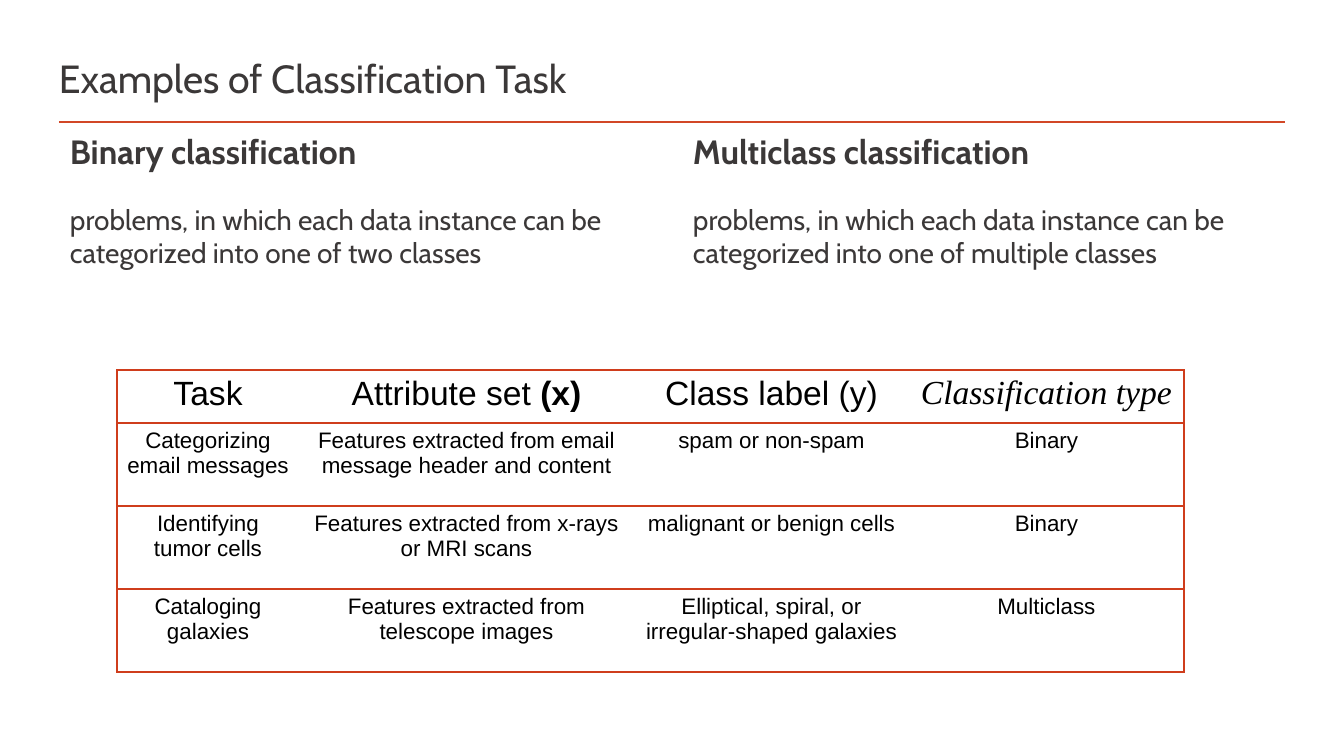
import pptx
import pptx.dml.color
import pptx.enum.shapes
import pptx.enum.text
import pptx.oxml
import pptx.oxml.ns
import pptx.util

THEME = {
    "ink": "3B3838", "rule": "D24726", "border": "CF3D1C", "black": "000000", "white": "FFFFFF",
    "body_font": "Cabin", "table_font": "Arial", "accent_font": "Times New Roman",
    "title": 28, "heading": 24, "text": 20, "head_cell": 24, "cell": 16,
}
rgb = pptx.dml.color.RGBColor.from_string


def px(n):
    """Turn pixels, 100.8 to the inch, into EMU."""
    return pptx.util.Emu(round(n * 914400 / 100.8))


def add_run(p, text, size, color="ink", **format_values):
    r = p.add_run()
    r.text = text
    values = {"name": THEME["body_font"], "bold": False, "italic": False} | format_values
    for name, value in values.items():
        setattr(r.font, name, value)
    r.font.size = pptx.util.Pt(THEME[size])
    r.font.color.rgb = rgb(THEME[color])


prs = pptx.Presentation()
prs.slide_width, prs.slide_height = px(1344), px(756)
s = prs.slides.add_slide(prs.slide_layouts[6])

# Title and rule
rule = s.shapes.add_connector(
    pptx.enum.shapes.MSO_CONNECTOR.STRAIGHT, px(59), px(122), px(1285), px(122))
rule.line.color.rgb = rgb(THEME["rule"])
rule.line.width = pptx.util.Pt(2)
rule._element.spPr.append(pptx.oxml.parse_xml(
    f'<a:effectLst {pptx.oxml.ns.nsdecls("a")}/>'))

tf = s.shapes.add_textbox(px(49), px(47), px(1236), px(62)).text_frame
tf.word_wrap = True
tf.vertical_anchor = pptx.enum.text.MSO_ANCHOR.MIDDLE
add_run(tf.paragraphs[0], "Examples of Classification Task", "title")

# Two definitions side by side
definitions = [
    ("Binary classification",
     "problems, in which each data instance can be categorized into one of two classes"),
    ("Multiclass classification",
     "problems, in which each data instance can be categorized into one of multiple classes"),
]
for i, (heading, definition) in enumerate(definitions):
    tf = s.shapes.add_textbox(px(60 + 623 * i), px(126), px(600), px(227)).text_frame
    tf.word_wrap = True
    p = tf.paragraphs[0]
    p.space_after = pptx.util.Pt(12)
    add_run(p, heading, "heading", bold=True)
    p = tf.add_paragraph()
    p.space_before = pptx.util.Pt(10)
    add_run(p, definition, "text")

# Table of example tasks
rows = [
    ("Task", "Attribute set ", "Class label (y)", "Classification type"),
    ("Categorizing email messages", "Features extracted from email message header and content",
     "spam or non-spam", "Binary"),
    ("Identifying tumor cells", "Features extracted from x-rays or MRI scans",
     "malignant or benign cells", "Binary"),
    ("Cataloging galaxies", "Features extracted from telescope images",
     "Elliptical, spiral, or irregular-shaped galaxies", "Multiclass"),
]
col_widths = [182, 335, 275, 275]
row_heights = [53, 83, 83, 83]
table = s.shapes.add_table(len(rows), len(col_widths), px(117), px(370),
                           px(sum(col_widths)), px(sum(row_heights))).table
table.first_row = table.horz_banding = False
for column, width in zip(table.columns, col_widths):
    column.width = px(width)
for row, height in zip(table.rows, row_heights):
    row.height = px(height)

line_fill = f'<a:solidFill><a:srgbClr val="{THEME["border"]}"/></a:solidFill>'
last_col = len(col_widths) - 1
for i, texts in enumerate(rows):
    for j, text in enumerate(texts):
        cell = table.cell(i, j)
        cell.fill.solid()
        cell.fill.fore_color.rgb = rgb(THEME["white"])
        p = cell.text_frame.paragraphs[0]
        p.alignment = pptx.enum.text.PP_ALIGN.CENTER
        size = "cell" if i else "head_cell"
        accent = i == 0 and j == last_col
        font = THEME["accent_font" if accent else "table_font"]
        add_run(p, text, size, "black", name=font, italic=accent)
        if (i, j) == (0, 1):
            add_run(p, "(x)", size, "black", name=font, bold=True)
        sides = {"L": j == 0, "R": j == last_col, "T": True, "B": True}
        for k, (side, drawn) in enumerate(sides.items()):
            cell._tc.get_or_add_tcPr().insert(k, pptx.oxml.parse_xml(
                f'<a:ln{side} {pptx.oxml.ns.nsdecls("a")} w="12700">'
                f'{line_fill if drawn else "<a:noFill/>"}</a:ln{side}>'))

prs.save("out.pptx")
